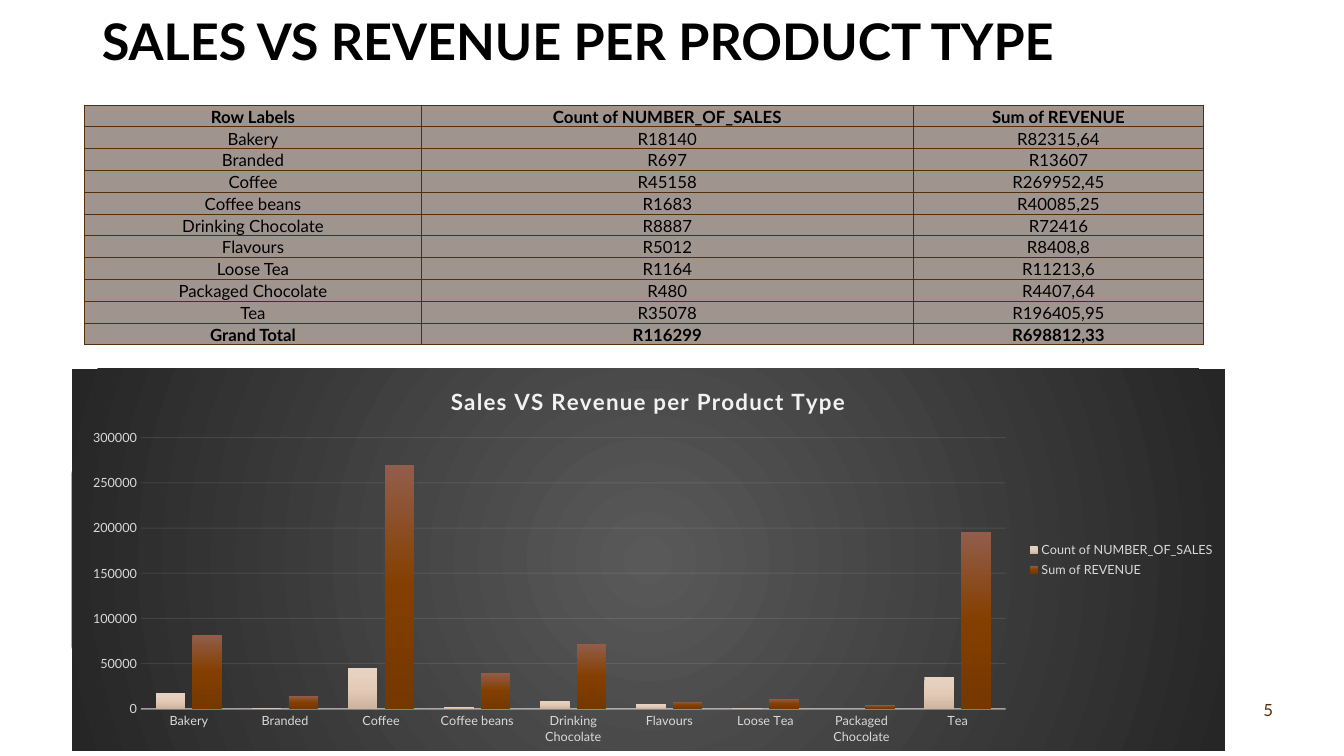
from lxml import etree
from pptx import Presentation
from pptx.chart.data import CategoryChartData
from pptx.dml.color import RGBColor
from pptx.enum.chart import XL_CHART_TYPE, XL_LEGEND_POSITION, XL_TICK_MARK
from pptx.enum.text import MSO_ANCHOR, MSO_AUTO_SIZE, PP_ALIGN
from pptx.oxml import parse_xml
from pptx.oxml.ns import nsdecls, qn
from pptx.util import Pt

COLUMN = XL_CHART_TYPE.COLUMN_CLUSTERED
LEGEND = XL_LEGEND_POSITION.RIGHT
NO_TICK = XL_TICK_MARK.NONE
MIDDLE, BOTTOM = MSO_ANCHOR.MIDDLE, MSO_ANCHOR.BOTTOM
LEFT, CENTER, RIGHT = PP_ALIGN.LEFT, PP_ALIGN.CENTER, PP_ALIGN.RIGHT
NO_FIT = MSO_AUTO_SIZE.NONE

COLORS = {"ink": "000000", "brown": "562F08", "cell": "A0948F",
          "label": "D9D9D9", "pale": "F2F2F2"}
BACK = [(0, "595959"), (100, "262626")]
BARS = [[(0, "E7D3C3"), (50, "E4CBB7"), (100, "CEB4A0")],
        [(0, "925D4B"), (50, "843F00"), (100, "753800")]]
ROUND = ('<a:path path="circle"><a:fillToRect l="50000" t="50000" '
         'r="50000" b="50000"/></a:path>')
DOWN = '<a:lin ang="5400000" scaled="0"/>'

HEAD = ("Row Labels", "Count of NUMBER_OF_SALES", "Sum of REVENUE")
SALES = [
    ("Bakery", "R18140", "R82315,64"),
    ("Branded", "R697", "R13607"),
    ("Coffee", "R45158", "R269952,45"),
    ("Coffee beans", "R1683", "R40085,25"),
    ("Drinking Chocolate", "R8887", "R72416"),
    ("Flavours", "R5012", "R8408,8"),
    ("Loose Tea", "R1164", "R11213,6"),
    ("Packaged Chocolate", "R480", "R4407,64"),
    ("Tea", "R35078", "R196405,95"),
]
TOTAL = ("Grand Total", "R116299", "R698812,33")


def amount(text):
    return round(float(text[1:].replace(",", ".")), -3)


def blend(stops, shade):
    marks = "".join(f'<a:gs pos="{pos * 1000}"><a:srgbClr val="{color}"/></a:gs>'
                    for pos, color in stops)
    return parse_xml(f'<a:gradFill {nsdecls("a")} rotWithShape="1">'
                     f'<a:gsLst>{marks}</a:gsLst>{shade}</a:gradFill>')


class Deck:
    def __init__(self, face):
        self.face = face
        self.show = Presentation()
        self.show.slide_width, self.show.slide_height = Pt(960), Pt(540)
        self.slide = self.show.slides.add_slide(self.show.slide_layouts[5])

    def style(self, font, size, color, bold=False):
        font.name, font.size, font.bold = self.face, Pt(size), bold
        font.color.rgb = RGBColor.from_string(COLORS[color])

    def label(self, frame, text, size, color, align, bold=False):
        frame.text = text
        line = frame.paragraphs[0]
        line.alignment = align
        self.style(line.runs[0].font, size, color, bold)

    def title(self, text, *box):
        shape = self.slide.shapes.title
        shape.left, shape.top, shape.width, shape.height = map(Pt, box)
        frame = shape.text_frame
        frame.auto_size = NO_FIT
        frame.vertical_anchor = MIDDLE
        frame.margin_top = frame.margin_bottom = 0
        self.label(frame, text, 36, "ink", LEFT, True)

    def number(self, text, *box):
        frame = self.slide.shapes.add_textbox(*map(Pt, box)).text_frame
        frame.word_wrap = True
        frame.vertical_anchor = MIDDLE
        self.label(frame, text, 12, "brown", RIGHT)

    def cell(self, cell, text, bold):
        cell.margin_left = cell.margin_right = 0
        cell.margin_top = cell.margin_bottom = 0
        cell.vertical_anchor = BOTTOM
        self.label(cell.text_frame, text, 12, "ink", CENTER, bold)
        props = cell._tc.get_or_add_tcPr()
        for side in ("lnL", "lnR", "lnT", "lnB"):
            edge = etree.SubElement(props, qn(f"a:{side}"), w=str(Pt(0.5)))
            fill = etree.SubElement(edge, qn("a:solidFill"))
            etree.SubElement(fill, qn("a:srgbClr"), val=COLORS["brown"])
        cell.fill.solid()
        cell.fill.fore_color.rgb = RGBColor.from_string(COLORS["cell"])

    def table(self, rows, left, top, widths, height):
        table = self.slide.shapes.add_table(
            len(rows), len(widths), Pt(left), Pt(top),
            Pt(sum(widths)), Pt(height * len(rows))).table
        table.first_row = table.horz_banding = False
        for col, width in zip(table.columns, widths):
            col.width = Pt(width)
        for i, row in enumerate(rows):
            table.rows[i].height = Pt(height)
            for j, text in enumerate(row):
                self.cell(table.cell(i, j), text, i in (0, len(rows) - 1))

    def rule(self, line, root, width, alpha):
        line.width = Pt(width)
        line.color.rgb = RGBColor.from_string(COLORS["pale"])
        for color in root.xpath("./c:spPr/a:ln/a:solidFill/a:srgbClr"):
            etree.SubElement(color, qn("a:alpha"), val=str(alpha * 1000))

    def axes(self, chart):
        cat, val = chart.category_axis, chart.value_axis
        for axis in (cat, val):
            axis.major_tick_mark = axis.minor_tick_mark = NO_TICK
            self.style(axis.tick_labels.font, 9, "label")
        self.rule(cat.format.line, cat._element, 1, 54)
        val.minimum_scale, val.maximum_scale, val.major_unit = 0, 300000, 50000
        val.has_major_gridlines = True
        grid = val._element.find(qn("c:majorGridlines"))
        self.rule(val.major_gridlines.format.line, grid, 0.75, 10)
        val.format.line.fill.background()

    def place(self, chart, **parts):
        area = chart._chartSpace.chart.plotArea
        for old in area.findall(qn("c:layout")):
            area.remove(old)
        marks = "".join(f'<c:{key} val="{val}"/>' for key, val in parts.items())
        area.insert(0, parse_xml(
            f'<c:layout {nsdecls("c")}><c:manualLayout><c:layoutTarget val="inner"/>'
            f'<c:xMode val="edge"/><c:yMode val="edge"/>{marks}'
            '</c:manualLayout></c:layout>'))

    def chart(self, title, rows, *box):
        data = CategoryChartData()
        data.categories = [row[0] for row in rows]
        for col in (1, 2):
            data.add_series(HEAD[col], [amount(row[col]) for row in rows])
        chart = self.slide.shapes.add_chart(COLUMN, *map(Pt, box), data).chart
        self.style(chart.font, 10, "ink")
        chart.has_title = True
        frame = chart.chart_title.text_frame
        self.label(frame, title, 16, "pale", CENTER, True)
        frame.paragraphs[0].runs[0]._r.get_or_add_rPr().set("spc", "100")
        chart.has_legend = True
        chart.legend.position = LEGEND
        chart.legend.include_in_layout = False
        self.style(chart.legend.font, 9, "label")
        self.axes(chart)
        self.place(chart, x=0.06, y=0.18, w=0.75, h=0.71)
        plot = chart.plots[0]
        plot.gap_width, plot.overlap, plot.vary_by_categories = 100, -24, False
        for bar, stops in zip(plot.series, BARS):
            bar.invert_if_negative = False
            bar._element.get_or_add_spPr().insert(0, blend(stops, DOWN))
        back = parse_xml(f'<c:spPr {nsdecls("c", "a")}><a:ln><a:noFill/></a:ln></c:spPr>')
        back.insert(0, blend(BACK, ROUND))
        chart._chartSpace.find(qn("c:txPr")).addprevious(back)


def main():
    deck = Deck("Lato")
    deck.title("SALES VS REVENUE PER PRODUCT TYPE", 65.5, 3.6, 810, 50.4)
    deck.number("5", 700.5, 492.5, 216, 28.8)
    deck.chart("Sales VS Revenue per Product Type", SALES, 51.2, 263.5, 823.7, 272.9)
    deck.table([HEAD, *SALES, TOTAL], 60.5, 75, (240.5, 351.4, 207.4), 15.58)
    deck.show.save("out.pptx")


if __name__ == "__main__":
    main()
